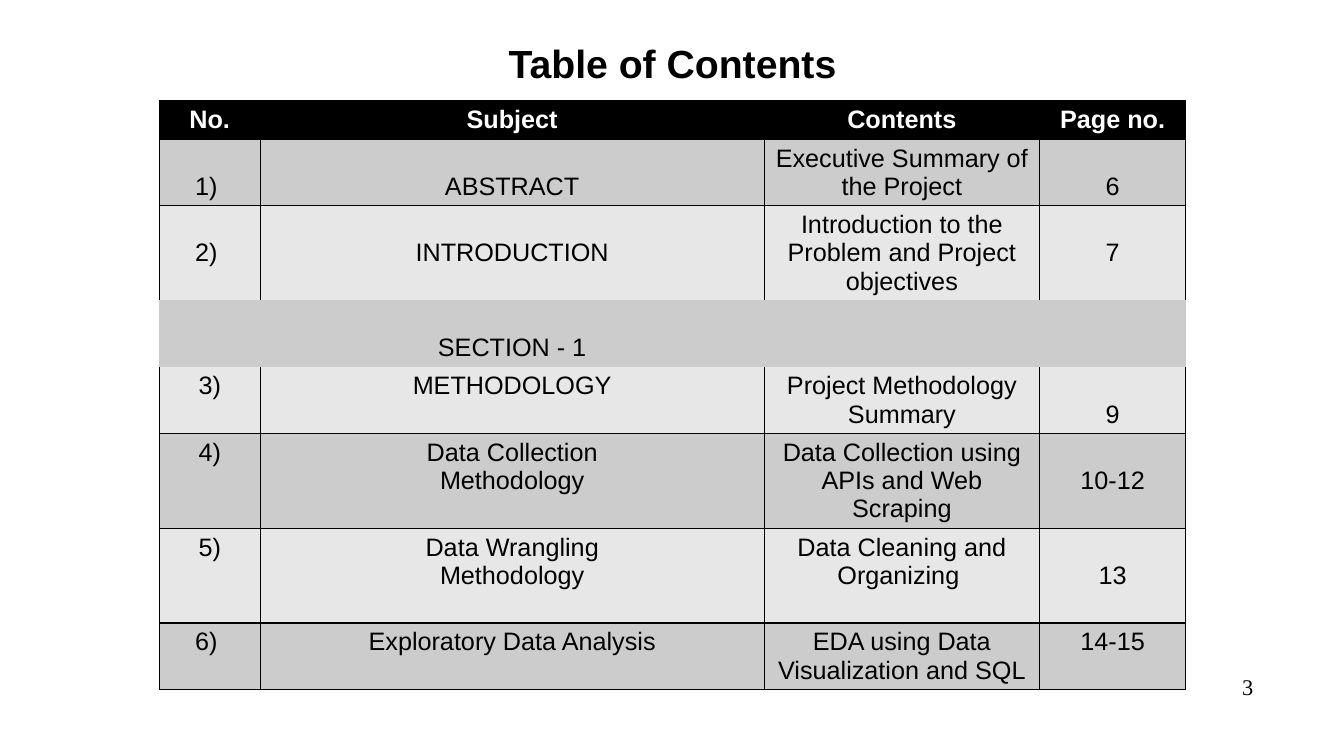
from lxml.etree import SubElement
from pptx import Presentation
from pptx.dml.color import RGBColor
from pptx.enum.text import MSO_ANCHOR, PP_ALIGN
from pptx.oxml.ns import qn
from pptx.util import Inches, Pt

BLACK = RGBColor(0x00, 0x00, 0x00)
WHITE = RGBColor(0xFF, 0xFF, 0xFF)
DARK_BAND = RGBColor(0xCC, 0xCC, 0xCC)
LIGHT_BAND = RGBColor(0xE7, 0xE7, 0xE7)

COLUMN_WIDTHS = [1, 5, 2.73, 1.45]
LINE_HEIGHT = 0.28
CELL_MARGIN = 0.05
SECTION_ROW = 3

# Each row: line count, columns whose text starts one line lower, cell texts
ROWS = [
    (1, (), ["No.", "Subject", "Contents", "Page no."]),
    (2, (0, 1, 3), ["1) ", "ABSTRACT", "Executive Summary of the Project", "6"]),
    (3, (0, 1, 3), ["2) ", "INTRODUCTION",
                    "Introduction to the Problem and Project objectives", "7"]),
    (2, (1,), ["", "SECTION - 1", "", ""]),
    (2, (3,), ["3)", "METHODOLOGY", "Project Methodology Summary", "9"]),
    (3, (3,), ["4)", "Data Collection\nMethodology",
               "Data Collection using APIs and Web Scraping", "10-12"]),
    (3, (3,), ["5)", "Data Wrangling\nMethodology",
               "Data Cleaning and Organizing ", "13"]),
    (2, (), ["6) ", "Exploratory Data Analysis",
             "EDA using Data Visualization and SQL", "14-15"]),
]


def add_span(para, text, size, color, bold=False, font="Arial"):
    span = para.add_run()
    span.text = text
    span.font.name = font
    span.font.size = Pt(size)
    span.font.bold = bold
    span.font.color.rgb = color


def add_border(cell, side, visible):
    line = SubElement(cell._tc.get_or_add_tcPr(), qn(f"a:ln{side}"), w=str(Pt(1)))
    if visible:
        fill = SubElement(line, qn("a:solidFill"))
        SubElement(fill, qn("a:srgbClr"), val=str(BLACK))
    else:
        SubElement(line, qn("a:noFill"))


deck = Presentation()
deck.slide_width = Inches(13.33)
deck.slide_height = Inches(7.5)
page = deck.slides.add_slide(deck.slide_layouts[6])

heights = [2 * CELL_MARGIN + LINE_HEIGHT * lines for lines, _, _ in ROWS]
table = page.shapes.add_table(
    len(ROWS), len(COLUMN_WIDTHS), Inches(1.58), Inches(1),
    Inches(sum(COLUMN_WIDTHS)), Inches(sum(heights))).table
for column, width in zip(table.columns, COLUMN_WIDTHS):
    column.width = Inches(width)

for row_index, (lines, lowered, texts) in enumerate(ROWS):
    table.rows[row_index].height = Inches(heights[row_index])
    hidden_sides = {SECTION_ROW - 1: "B", SECTION_ROW: "LRTB", SECTION_ROW + 1: "T"}
    hidden = hidden_sides.get(row_index, "")
    band = DARK_BAND if row_index % 2 else LIGHT_BAND
    is_header = row_index == 0
    for column_index, text in enumerate(texts):
        cell = table.cell(row_index, column_index)
        for side in "LRTB":
            add_border(cell, side, side not in hidden)
        cell.fill.solid()
        cell.fill.fore_color.rgb = BLACK if is_header else band
        offset = LINE_HEIGHT if column_index in lowered else 0
        cell.margin_top = Inches(CELL_MARGIN + offset)
        cell.margin_bottom = Inches(CELL_MARGIN)
        for index, part in enumerate(text.split("\n") if text else []):
            frame = cell.text_frame
            para = frame.add_paragraph() if index else frame.paragraphs[0]
            para.alignment = PP_ALIGN.CENTER
            add_span(para, part, 18, WHITE if is_header else BLACK, is_header)

title = page.shapes.add_textbox(Inches(0.67), Inches(0.3), Inches(12), Inches(0.7)).text_frame
title.word_wrap = True
title.vertical_anchor = MSO_ANCHOR.MIDDLE
title.margin_left = title.margin_right = title.margin_top = title.margin_bottom = 0
para = title.paragraphs[0]
para.alignment = PP_ALIGN.CENTER
para.line_spacing = 0.9
add_span(para, "Table of Contents", 28, BLACK, True)

number = page.shapes.add_textbox(Inches(9.53), Inches(6.59), Inches(3), Inches(0.44)).text_frame
number.word_wrap = True
number.vertical_anchor = MSO_ANCHOR.MIDDLE
para = number.paragraphs[0]
para.alignment = PP_ALIGN.RIGHT
para.space_after = Pt(6)
add_span(para, "3", 16, BLACK, font="Times New Roman")

deck.save("out.pptx")
